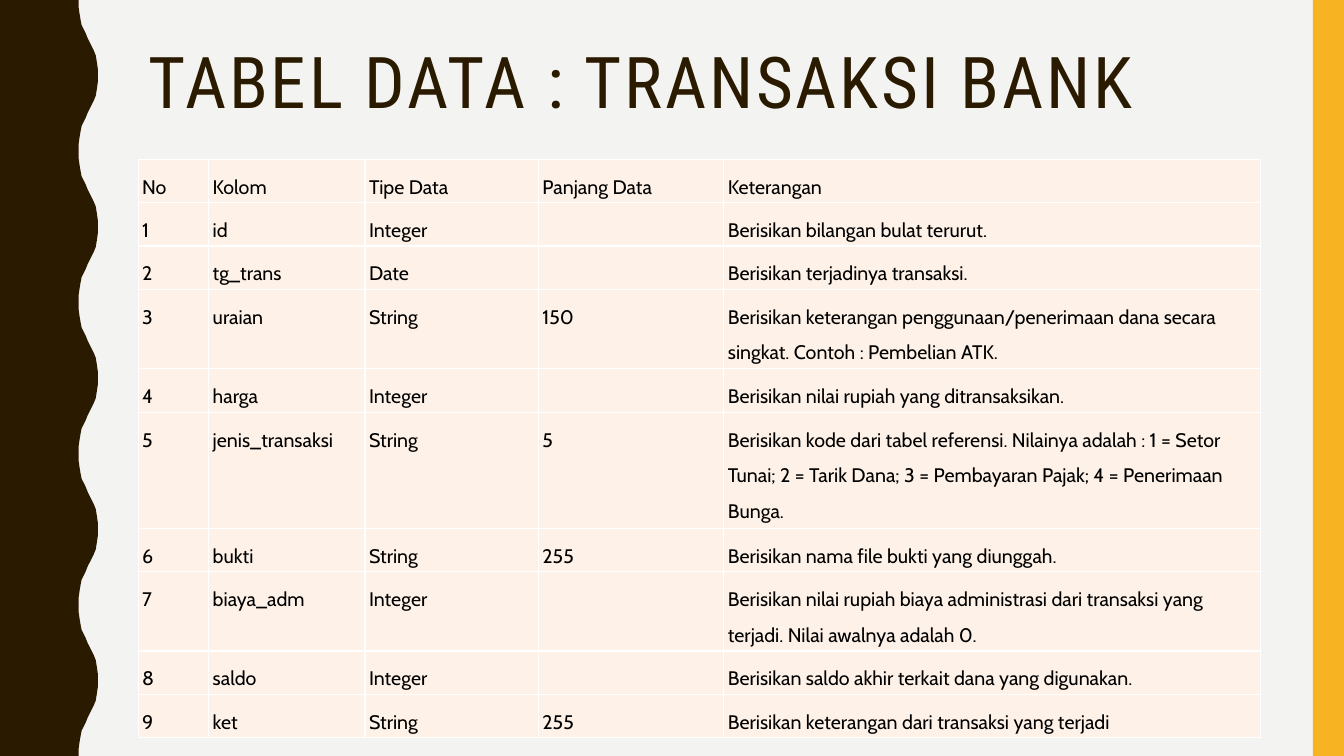
import pptx
import pptx.dml.color
import pptx.enum.shapes
import pptx.enum.text
import pptx.oxml
import pptx.oxml.ns
import pptx.util

W, H = 13.33, 7.5
LEFT, CONTENT_W = 1.37, 11.13
BROWN, AMBER, PAPER = "2A1A00", "F8B323", "F3F3F2"
CREAM, WHITE, BLACK = "FEF2E8", "FFFFFF", "000000"

# Half a wave of the left edge (x, y); it is mirrored and repeated
WAVE = 1.5
HALF_WAVE = [(0.78, 0), (0.78, 0.07), (0.79, 0.14), (0.8, 0.2), (0.81, 0.25),
             (0.83, 0.29), (0.85, 0.33), (0.87, 0.38), (0.89, 0.42),
             (0.91, 0.46), (0.93, 0.5), (0.95, 0.55), (0.96, 0.61),
             (0.97, 0.68), (0.97, 0.75)]

COLUMNS = [0.7, 1.55, 1.72, 1.84, 5.32]
LINE_H, ROW_PAD = 0.36, 0.07
HEADER = ("No", "Kolom", "Tipe Data", "Panjang Data", "Keterangan")
# Name, type, length, description, lines of text
FIELDS = [
    ("id", "Integer", "", "Berisikan bilangan bulat terurut.", 1),
    ("tg_trans", "Date", "", "Berisikan terjadinya transaksi.", 1),
    ("uraian", "String", "150", "Berisikan keterangan penggunaan/penerimaan dana "
     "secara singkat. Contoh : Pembelian ATK.", 2),
    ("harga", "Integer", "", "Berisikan nilai rupiah yang ditransaksikan.", 1),
    ("jenis_transaksi", "String", "5", "Berisikan kode dari tabel referensi. "
     "Nilainya adalah : 1 = Setor Tunai; 2 = Tarik Dana; 3 = Pembayaran Pajak; "
     "4 = Penerimaan Bunga.", 3),
    ("bukti", "String", "255", "Berisikan nama file bukti yang diunggah.", 1),
    ("biaya_adm", "Integer", "", "Berisikan nilai rupiah biaya administrasi dari "
     "transaksi yang terjadi. Nilai awalnya adalah 0.", 2),
    ("saldo", "Integer", "", "Berisikan saldo akhir terkait dana yang digunakan.", 1),
    ("ket", "String", "255", "Berisikan keterangan dari transaksi yang terjadi", 1),
]


def inch(value):
    return pptx.util.Inches(value)


def rgb(color):
    return pptx.dml.color.RGBColor.from_string(color)


def paint(sp, color):
    sp.shadow.inherit = False
    sp.fill.solid()
    sp.fill.fore_color.rgb = rgb(color)
    sp.line.fill.background()


def style_text(p, font, size, color, spacing):
    p.line_spacing = spacing
    p.font.size = pptx.util.Pt(size)
    for r in p.runs:
        r.font.name = font
        r.font.size = pptx.util.Pt(size)
        r.font.color.rgb = rgb(color)


def add_wavy_band(s):
    mirrored = [(x, WAVE - y) for x, y in HALF_WAVE[-2:0:-1]]
    points = [(x, y + i * WAVE) for i in range(round(H / WAVE))
              for x, y in HALF_WAVE + mirrored]
    points += [(HALF_WAVE[0][0], H), (0, H)]
    builder = s.shapes.build_freeform(0, 0)
    builder.add_line_segments([(inch(x), inch(y)) for x, y in points], close=True)
    paint(builder.convert_to_shape(), BROWN)


def add_side_bar(s, width):
    sp = s.shapes.add_shape(pptx.enum.shapes.MSO_SHAPE.RECTANGLE,
                            inch(W - width), 0, inch(width), inch(H))
    paint(sp, AMBER)


def add_title(s, text):
    sp = s.shapes.add_textbox(inch(LEFT), inch(0.42), inch(CONTENT_W), inch(1.63))
    tf = sp.text_frame
    tf.word_wrap = True
    tf.vertical_anchor = pptx.enum.text.MSO_ANCHOR.TOP
    tf.text = text
    p = tf.paragraphs[0]
    style_text(p, "Roboto Condensed", 51, BROWN, 0.9)
    p.runs[0].font._element.set("spc", "200")


def add_borders(cell, color):
    tc_pr = cell._tc.get_or_add_tcPr()
    for i, side in enumerate(("lnL", "lnR", "lnT", "lnB")):
        tc_pr.insert(i, pptx.oxml.parse_xml(
            f'<a:{side} {pptx.oxml.ns.nsdecls("a")} w="12700"><a:solidFill>'
            f'<a:srgbClr val="{color}"/></a:solidFill></a:{side}>'))


def fill_cell(cell, text):
    cell.margin_left = cell.margin_right = inch(0.04)
    cell.margin_top = cell.margin_bottom = inch(0.04)
    cell.fill.solid()
    cell.fill.fore_color.rgb = rgb(CREAM)
    add_borders(cell, WHITE)
    cell.text_frame.text = text
    style_text(cell.text_frame.paragraphs[0], "Cabin", 14, BLACK, 1.5)


def add_field_table(s):
    rows = [HEADER] + [(str(n), *field[:-1]) for n, field in enumerate(FIELDS, 1)]
    heights = [LINE_H * n + ROW_PAD for n in [1] + [field[-1] for field in FIELDS]]
    table = s.shapes.add_table(len(rows), len(COLUMNS), inch(LEFT), inch(1.58),
                               inch(CONTENT_W), inch(sum(heights))).table
    table.first_row = table.horz_banding = False
    for column, width in zip(table.columns, COLUMNS):
        column.width = inch(width)
    for i, texts in enumerate(rows):
        table.rows[i].height = inch(heights[i])
        for j, text in enumerate(texts):
            fill_cell(table.cell(i, j), text)


def main():
    prs = pptx.Presentation()
    prs.slide_width, prs.slide_height = inch(W), inch(H)
    s = prs.slides.add_slide(prs.slide_layouts[6])
    s.background.fill.solid()
    s.background.fill.fore_color.rgb = rgb(PAPER)

    # Side decoration
    add_wavy_band(s)
    add_side_bar(s, 0.31)

    # Content
    add_title(s, "TABEL DATA : TRANSAKSI BANK")
    add_field_table(s)
    prs.save("out.pptx")


if __name__ == "__main__":
    main()
